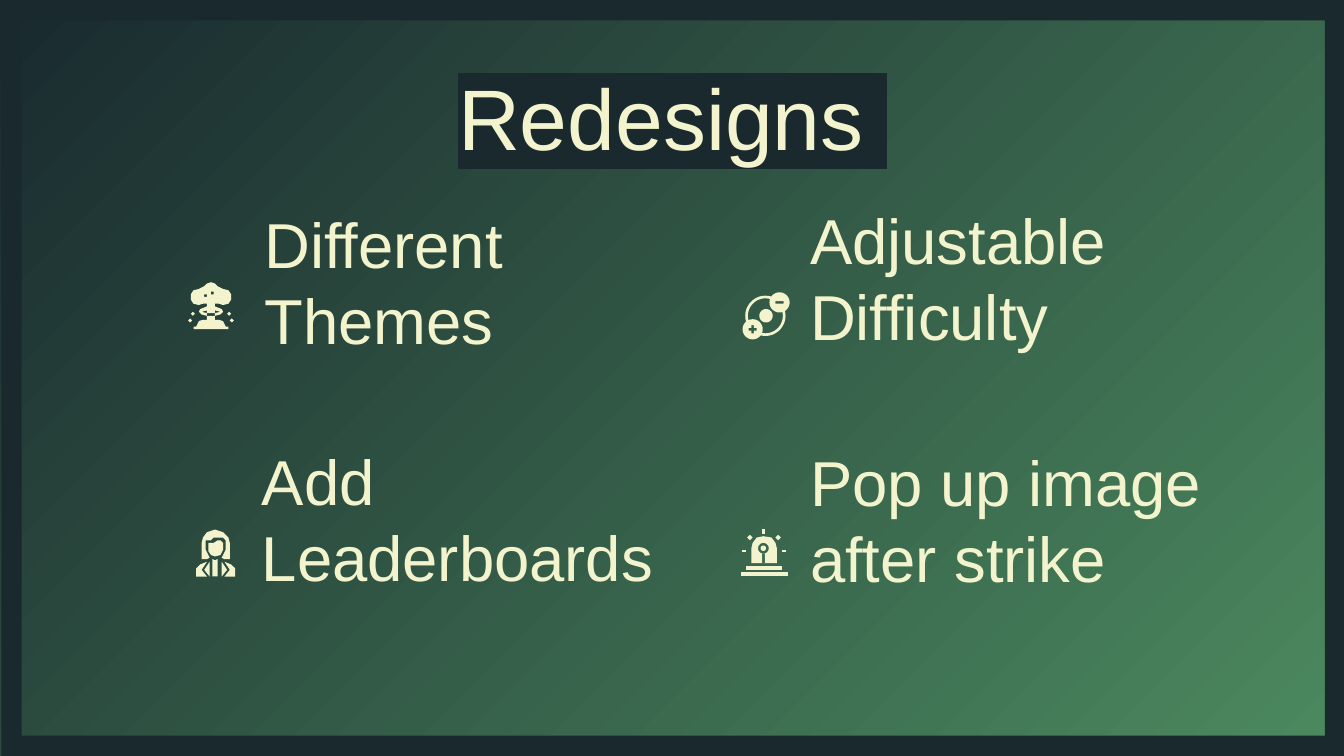
from math import cos, radians, sin

from lxml.etree import SubElement
from pptx import Presentation
from pptx.dml.color import RGBColor
from pptx.enum.shapes import MSO_SHAPE as SHAPE
from pptx.enum.text import MSO_ANCHOR as ANCHOR, PP_ALIGN as ALIGN
from pptx.oxml.ns import qn
from pptx.util import Inches, Pt

COLORS = {"dark": "19292E", "green": "4C8A5F", "cream": "F3F4CD"}
FONT = "Arial"
WIDTH = Inches(10)
HEIGHT = WIDTH * 9 // 16
CELL = WIDTH // 1000  # the slide is a grid of 1000 columns
TEXT_ROWS = 55

IDEAS = [  # text, left, top, width
    ("Different Themes", 187, 221, 362),
    ("Add Leaderboards", 185, 397, 341),
    ("Adjustable Difficulty", 593, 218, 374),
    ("Pop up image after strike", 593, 398, 414),
]


def rgb(name):
    return RGBColor.from_string(COLORS[name])


def style(sp, color):
    sp.shadow.inherit = False
    sp.fill.solid()
    sp.fill.fore_color.rgb = rgb(color)
    sp.line.fill.background()


def add_text(s, text, left, top, width, height, size, align=ALIGN.LEFT,
             anchor=ANCHOR.TOP, highlight=None):
    tf = s.shapes.add_textbox(*(n * CELL for n in (left, top, width, height))).text_frame
    tf.word_wrap = True
    tf.vertical_anchor = anchor
    tf.margin_left = tf.margin_right = tf.margin_top = tf.margin_bottom = 10 * CELL
    p = tf.paragraphs[0]
    p.alignment = align
    r = p.add_run()
    r.text = text
    r.font.size = Pt(size)
    r.font.color.rgb = rgb("cream")
    if highlight:
        mark = SubElement(r.font._element, qn("a:highlight"))
        SubElement(mark, qn("a:srgbClr")).set("val", COLORS[highlight])
    r.font.name = FONT


def arc(x, y, radius, start, end, step=10):
    angles = [radians(a) for a in range(start, end + 1, step)]
    return [(x + radius * cos(a), y + radius * sin(a)) for a in angles]


def circle(x, y, radius, step=10):
    return arc(x, y, radius, 0, 360 - step, step)


def band(x, y, outer, inner, start, end):
    return arc(x, y, outer, start, end) + arc(x, y, inner, start, end)[::-1]


def box(x, y, w, h):
    return [(x, y), (x + w, y), (x + w, y + h), (x, y + h)]


def mirrored(points, width):
    return [(width - x, y) for x, y in points]


def add_icon(s, left, top, pieces):
    """Draw pieces; each is a list of contours, an outline and then its holes."""
    for contours in pieces:
        paths = [[(round((left + x) * CELL), round((top + y) * CELL)) for x, y in c]
                 for c in contours]
        builder = s.shapes.build_freeform(*paths[0][0])
        builder.add_line_segments(paths[0][1:])
        for path in paths[1:]:
            builder.move_to(*path[0])
            builder.add_line_segments(path[1:])
        style(builder.convert_to_shape(), "cream")


def explosion():
    width = 34
    half_cloud = [(17, 0), (14, 1), (12, 3), (8, 5), (4, 6), (2, 9), (2, 13), (4, 16),
                  (8, 17), (11, 16), (14, 16), (14, 18), (9, 20), (8, 22), (10, 24),
                  (14, 25), (14, 23)]
    half_ground = [(14, 25), (14, 28), (11, 28), (8, 29), (6, 33), (4, 33), (4, 35)]
    gap = [(14, 21), (10, 22), (14, 23)]
    cloud, ground = (half + mirrored(half, width)[::-1] for half in (half_cloud, half_ground))
    sparks = [circle(x, y, 1.5, 90) for x, y in ((3.5, 23.5), (1.5, 28.5))]
    return [[cloud, box(17, 7, 2, 2), box(12, 9, 2, 2), gap, mirrored(gap, width)],
            [ground], *([c] for c in sparks), *([mirrored(c, width)] for c in sparks)]


def difficulty_dial():
    plus = [(7, 24), (9, 24), (9, 26), (11, 26), (11, 28), (9, 28),
            (9, 30), (7, 30), (7, 28), (5, 28), (5, 26), (7, 26)]
    return [[circle(18, 17, 5)],
            [band(17.5, 17, 15, 13, -20, 110)],
            [band(17.5, 17, 15, 13, 160, 290)],
            [circle(28, 7, 7.5), box(25, 6, 6, 2)],
            [circle(8, 27, 7.5), plus]]


def player():
    width = 29
    shoulder = [(8, 24), (3, 26), (0, 29), (0, 35), (8, 35), (4, 30)]
    lapel = [(10, 24), (6, 30), (10, 35)]
    hair = [(14, 0), (8, 2), (5, 6), (4, 10), (4, 22), (8, 22), (10, 21), (7, 15), (7, 8),
            (11, 8), (13, 6), (20, 6), (22, 8), (22, 15), (19, 21), (21, 22), (25, 22),
            (25, 10), (24, 6), (20, 2)]
    face = [(9, 10), (13, 10), (16, 8), (18, 8), (20, 10), (20, 15), (18, 19),
            (14, 20), (11, 19), (9, 16)]
    tie = [(12, 22), (14, 23), (16, 22), (16, 35), (12, 35)]
    return [[hair], [face], [tie],
            *([c] for c in (shoulder, lapel)),
            *([mirrored(c, width)] for c in (shoulder, lapel))]


def siren():
    width = 35
    dome = [(8, 25), (8, 14), (9, 10), (12, 6), (17, 5), (23, 6), (26, 10), (27, 14), (27, 25)]
    slant = [(7, 4), (5, 6), (7, 8), (9, 6)]
    bars = [(0, 32, 35, 3), (4, 27, 27, 3), (16, 0, 2, 3), (31, 15, 3, 2), (1, 15, 3, 2)]
    return [[dome, circle(17, 14, 4), box(16, 18, 2, 7)], [circle(17, 14, 2)],
            [slant], [mirrored(slant, width)], *([box(*bar)] for bar in bars)]


def add_background(s):
    fill = s.background.fill
    fill.gradient()
    fill.gradient_angle = 135
    for stop, position, color in zip(fill.gradient_stops, (0, 1), ("green", "dark")):
        stop.position = position
        stop.color.rgb = rgb(color)


def add_frame(s):
    frame = s.shapes.add_shape(SHAPE.FRAME, CELL, 0, WIDTH, HEIGHT)
    frame.adjustments[0] = 0.027
    style(frame, "dark")


def main():
    prs = Presentation()
    prs.slide_width, prs.slide_height = WIDTH, HEIGHT
    s = prs.slides.add_slide(prs.slide_layouts[6])
    add_background(s)
    add_text(s, "Redesigns ", 79, 38, 843, 92, size=46, align=ALIGN.CENTER, highlight="dark")
    for text, left, top, width in IDEAS:
        add_text(s, text, left, top, width, TEXT_ROWS, size=34, anchor=ANCHOR.BOTTOM)
    add_frame(s)
    add_icon(s, 140, 210, explosion())
    add_icon(s, 552, 218, difficulty_dial())
    add_icon(s, 146, 394, player())
    add_icon(s, 551, 394, siren())
    prs.save("out.pptx")


if __name__ == "__main__":
    main()
